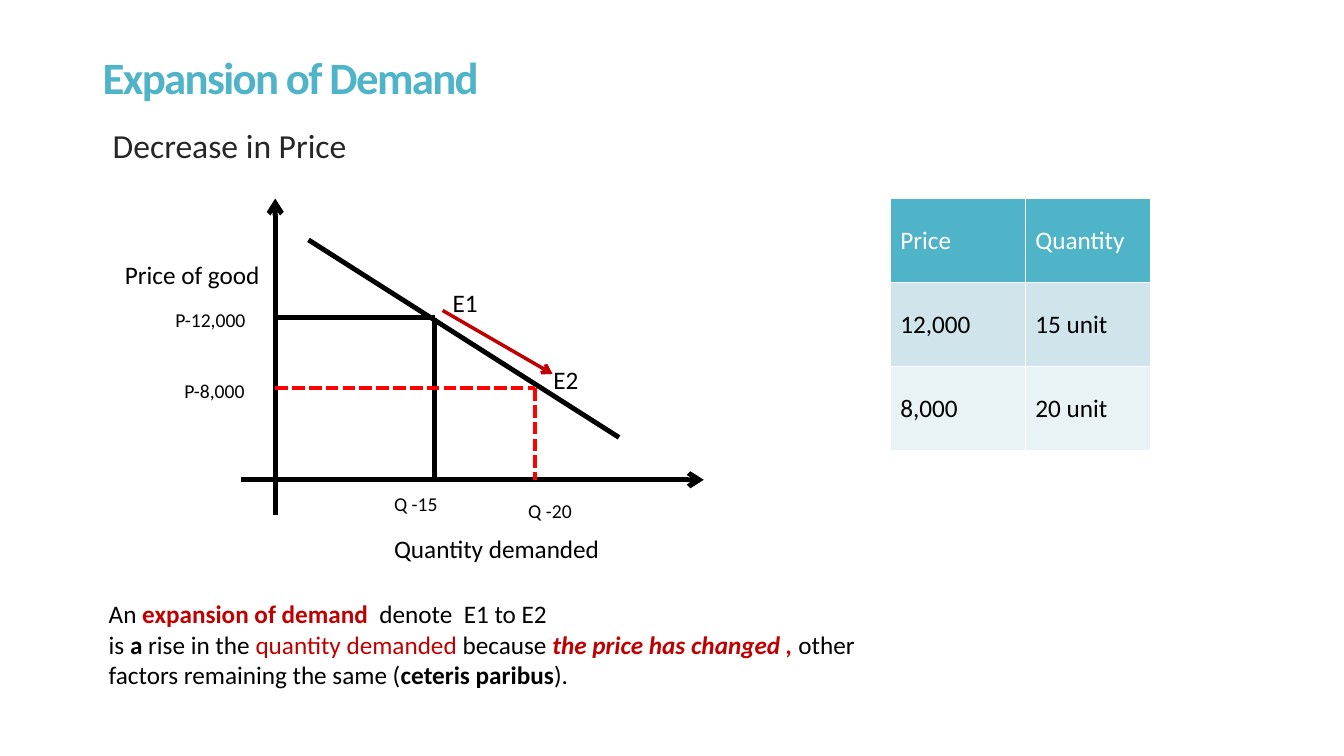
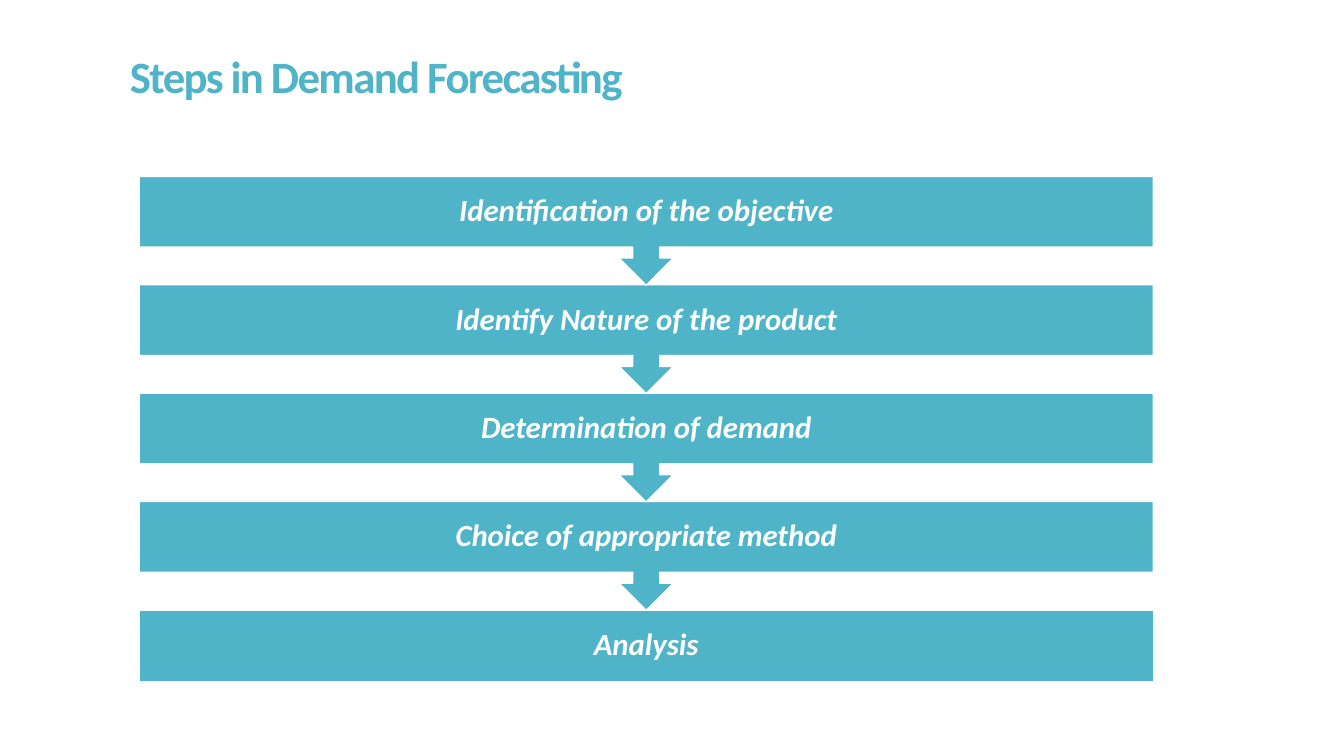
import dataclasses
import typing

import lxml.etree
import pptx
import pptx.dml.color
import pptx.enum.dml
import pptx.enum.shapes
import pptx.enum.text
import pptx.oxml.ns
import pptx.slide
import pptx.text.text
import pptx.util

Inches = pptx.util.Inches
Pt = pptx.util.Pt
qn = pptx.oxml.ns.qn
Anchor = pptx.enum.text.MSO_ANCHOR
Align = pptx.enum.text.PP_ALIGN
Shape = pptx.enum.shapes.MSO_SHAPE


@dataclasses.dataclass(frozen=True)
class Theme:
    font: str = "Calibri"
    teal: str = "50B4C8"
    pale: str = "D0E5EB"
    mist: str = "E9F2F5"
    white: str = "FFFFFF"
    black: str = "000000"
    gray: str = "262626"
    crimson: str = "C00000"
    red: str = "FF0000"
    title: float = 32
    lead: float = 24
    step: float = 22
    body: float = 18
    small: float = 14
    tight: float = 0.85
    track: int = -120


THEME = Theme()


class Run(typing.NamedTuple):
    text: str
    color: str = THEME.black
    bold: bool = False
    slant: bool = False


class Label(typing.NamedTuple):
    text: str
    left: float
    top: float
    width: float
    size: float = THEME.body


class Stroke(typing.NamedTuple):
    start: tuple[float, float]
    end: tuple[float, float]
    color: str = THEME.black
    weight: float = 3.5
    arrow: bool = False
    dash: bool = False


def rgb(color: str) -> pptx.dml.color.RGBColor:
    return pptx.dml.color.RGBColor.from_string(color)


def write(para: pptx.text.text._Paragraph, runs: list[Run], size: float, track: int = 0) -> None:
    """Add styled runs to a paragraph; track is in hundredths of a point."""
    for item in runs:
        run = para.add_run()
        run.text = item.text
        font = run.font
        font.name, font.size = THEME.font, Pt(size)
        font.bold, font.italic = item.bold, item.slant
        font.color.rgb = rgb(item.color)
        if track:
            run._r.get_or_add_rPr().set("spc", str(track))


def add_text(slide: pptx.slide.Slide, box: tuple[float, float, float, float],
             lines: list[list[Run]], size: float, anchor: Anchor = Anchor.TOP,
             space: float = 1.0, track: int = 0) -> None:
    frame = slide.shapes.add_textbox(*map(Inches, box)).text_frame
    frame.word_wrap = True
    frame.vertical_anchor = anchor
    for i, runs in enumerate(lines):
        para = frame.add_paragraph() if i else frame.paragraphs[0]
        para.line_spacing = space
        write(para, runs, size, track)


def add_title(slide: pptx.slide.Slide, text: str, box: tuple[float, float, float, float],
              anchor: Anchor) -> None:
    add_text(slide, box, [[Run(text, THEME.teal, True)]], THEME.title,
             anchor, THEME.tight, THEME.track)


def add_stroke(slide: pptx.slide.Slide, stroke: Stroke) -> None:
    link = slide.shapes.add_connector(pptx.enum.shapes.MSO_CONNECTOR.STRAIGHT,
                                      *map(Inches, stroke.start + stroke.end))
    link.line.color.rgb = rgb(stroke.color)
    link.line.width = Pt(stroke.weight)
    if stroke.dash:
        link.line.dash_style = pptx.enum.dml.MSO_LINE.SQUARE_DOT
    if stroke.arrow:
        lxml.etree.SubElement(link.line._get_or_add_ln(), qn("a:tailEnd"), type="arrow")
    lxml.etree.SubElement(link._element.spPr, qn("a:effectLst"))


def add_edges(cell: pptx.table._Cell) -> None:
    """Draw thin white borders; they must come before the cell's fill."""
    props = cell._tc.get_or_add_tcPr()
    for i, side in enumerate(("lnL", "lnR", "lnT", "lnB")):
        edge = lxml.etree.Element(qn(f"a:{side}"), w=str(Pt(1)))
        fill = lxml.etree.SubElement(edge, qn("a:solidFill"))
        lxml.etree.SubElement(fill, qn("a:srgbClr"), val=THEME.white)
        props.insert(i, edge)


def add_grid(slide: pptx.slide.Slide) -> None:
    """Add the table of prices and quantities."""
    rows = [("Price", "Quantity"), ("12,000", "15 unit"), ("8,000", "20 unit")]
    widths = (1.34, 1.24)
    height = 2.5
    table = slide.shapes.add_table(len(rows), len(widths), Inches(8.83), Inches(1.97),
                                   Inches(sum(widths)), Inches(height)).table
    for col, width in zip(table.columns, widths):
        col.width = Inches(width)
    fills = (THEME.teal, THEME.pale, THEME.mist)
    for r, (row, fill) in enumerate(zip(rows, fills)):
        table.rows[r].height = Inches(height / len(rows))
        for c, text in enumerate(row):
            cell = table.cell(r, c)
            cell.vertical_anchor = Anchor.MIDDLE
            cell.fill.solid()
            cell.fill.fore_color.rgb = rgb(fill)
            add_edges(cell)
            color = THEME.black if r else THEME.white
            write(cell.text_frame.paragraphs[0], [Run(text, color)], THEME.body)


def draw_demand(slide: pptx.slide.Slide) -> None:
    add_title(slide, "Expansion of Demand", (0.92, 0.4, 11.5, 0.8), Anchor.MIDDLE)
    add_text(slide, (1.02, 1.25, 11.4, 0.5), [[Run("Decrease in Price", THEME.gray)]],
             THEME.lead, space=THEME.tight)

    left, base = 2.73, 4.76
    old, new = (4.31, 3.15), (5.31, 3.85)
    strokes = [
        Stroke((4.39, 3.08), (5.48, 3.71), THEME.crimson, 2.5, arrow=True),
        Stroke((left, 5.11), (left, 1.97), arrow=True),
        Stroke((2.39, base), (6.98, base), arrow=True),
        Stroke((3.06, 2.38), (6.14, 4.34)),
    ]
    for point, color, weight, dash in ((old, THEME.black, 3.5, False),
                                       (new, THEME.red, 3, True)):
        x, y = point
        strokes += [Stroke((left, y), point, color, weight, dash=dash),
                    Stroke(point, (x, base), color, weight, dash=dash)]
    for stroke in strokes:
        add_stroke(slide, stroke)

    labels = [
        Label("Quantity demanded", 3.81, 5.24, 2.42),
        Label("Price of good", 1.14, 2.52, 1.67),
        Label("P-12,000", 1.64, 3.01, 1, THEME.small),
        Label("P-8,000", 1.73, 3.71, 1, THEME.small),
        Label("Q -15", 3.81, 4.83, 0.75, THEME.small),
        Label("Q -20", 5.14, 4.9, 0.75, THEME.small),
        Label("E1", 4.39, 2.8, 0.67),
        Label("E2", 5.39, 3.57, 0.67),
    ]
    for label in labels:
        add_text(slide, (label.left, label.top, label.width, 0.34),
                 [[Run(label.text)]], label.size)

    add_grid(slide)
    add_text(slide, (0.98, 5.89, 8.16, 1.01), [
        [Run("An "), Run("expansion of demand  ", THEME.crimson, True),
         Run("denote  E1 to E2")],
        [Run("is "), Run("a ", bold=True), Run("rise in the "),
         Run("quantity demanded ", THEME.crimson), Run("because "),
         Run("the price has changed , ", THEME.crimson, True, True),
         Run("other factors remaining the same ("),
         Run("ceteris paribus", bold=True), Run(").")],
    ], THEME.body)


def draw_steps(slide: pptx.slide.Slide) -> None:
    add_title(slide, "Steps in Demand Forecasting", (1.19, 0.52, 8.62, 0.93), Anchor.TOP)
    steps = ["Identification of the objective", "Identify Nature of the product",
             "Determination of demand", "Choice of appropriate method", "Analysis"]
    top, pitch = 1.75, 1.075
    last = len(steps) - 1
    # Bottom first, so each arrow tip lies over the next box.
    for i, text in reversed(list(enumerate(steps))):
        kind, height = ((Shape.RECTANGLE, 0.71) if i == last
                        else (Shape.DOWN_ARROW_CALLOUT, 1.08))
        box = slide.shapes.add_shape(kind, Inches(1.38), Inches(top + i * pitch),
                                     Inches(10.06), Inches(height))
        box.shadow.inherit = False
        box.fill.solid()
        box.fill.fore_color.rgb = rgb(THEME.teal)
        box.line.color.rgb = rgb(THEME.white)
        box.line.width = Pt(1)
        frame = box.text_frame
        frame.word_wrap = True
        frame.vertical_anchor = Anchor.MIDDLE
        para = frame.paragraphs[0]
        para.alignment = Align.CENTER
        para.line_spacing = 0.9
        write(para, [Run(text, THEME.white, True, True)], THEME.step)


def main() -> None:
    deck = pptx.Presentation()
    deck.slide_width, deck.slide_height = Inches(13.33), Inches(7.5)
    blank = deck.slide_layouts[6]
    for draw in (draw_demand, draw_steps):
        draw(deck.slides.add_slide(blank))
    deck.save("out.pptx")


if __name__ == "__main__":
    main()
